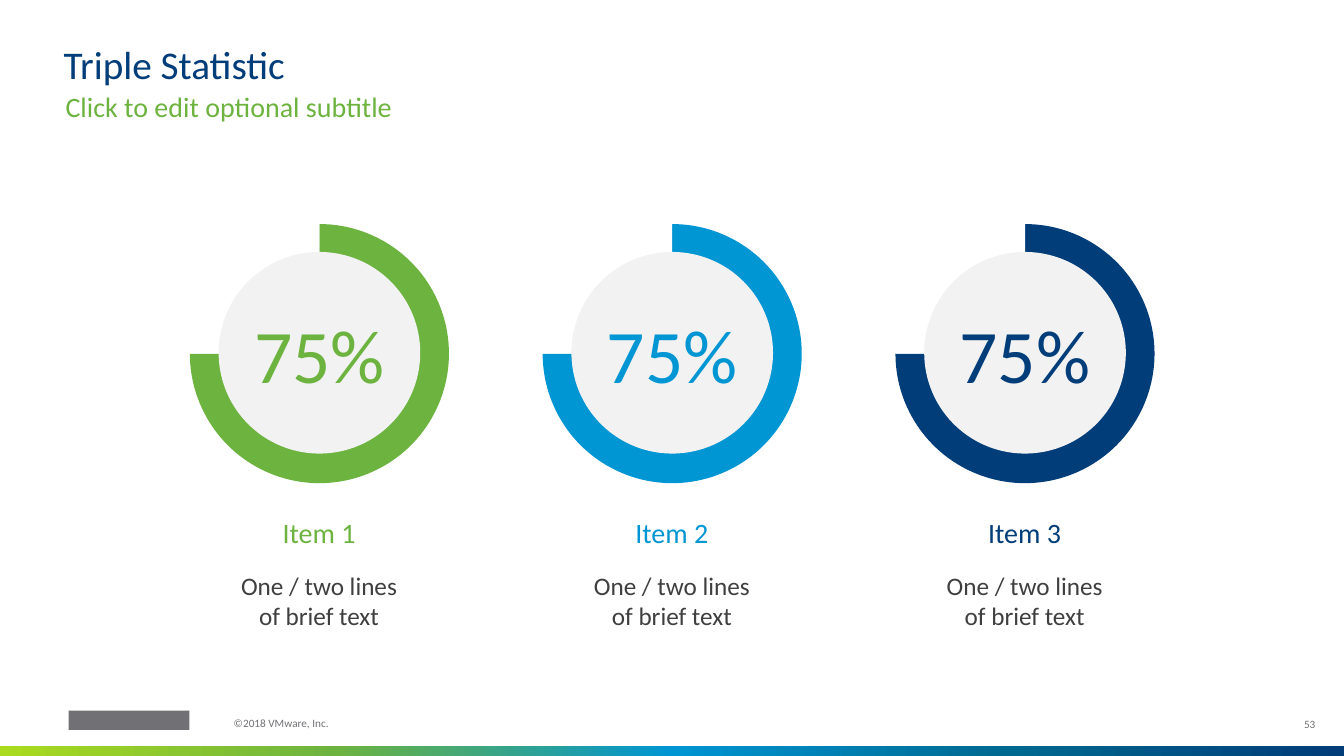
"""Build the Triple Statistic slide: three ring charts with captions."""
from copy import deepcopy

from lxml import etree
from pptx import Presentation
from pptx import util as u
from pptx.chart.data import CategoryChartData
from pptx.dml.color import RGBColor
from pptx.enum import chart as charts, shapes, text

COLORS = {
    "green": "6DB33F", "blue": "0095D3", "navy": "003D79", "lime": "AADB1E",
    "teal": "006990", "disc": "F2F2F2", "body": "3F3F3F", "gray": "717074",
    "white": "FFFFFF",
}
ALIGN = text.PP_ALIGN
ANCHOR = text.MSO_ANCHOR


def rgb(name):
    return RGBColor.from_string(COLORS[name])


def write(shape, lines, size, color, align=ALIGN.LEFT, anchor=ANCHOR.TOP,
          spacing=1.0, after=0, wrap=True):
    frame = shape.text_frame
    frame.word_wrap = wrap
    frame.vertical_anchor = anchor
    frame.margin_left = frame.margin_right = u.Pt(0)
    frame.margin_top = frame.margin_bottom = u.Pt(0)
    paragraph = frame.paragraphs[0]
    paragraph.alignment = align
    paragraph.line_spacing = spacing
    paragraph.space_after = u.Pt(after)
    for index, line in enumerate(lines):
        if index:
            paragraph.add_line_break()
        run = paragraph.add_run()
        run.text = line
        run.font.name = "Calibri"
        run.font.size = u.Pt(size)
        run.font.color.rgb = rgb(color)


presentation = Presentation()
presentation.slide_width = u.Pt(960)
presentation.slide_height = u.Pt(540)
slide = presentation.slides.add_slide(presentation.slide_layouts[6])

footer_bar = slide.shapes.add_shape(
    shapes.MSO_SHAPE.RECTANGLE, u.Pt(0), u.Pt(532.8), u.Pt(960), u.Pt(7.2))
footer_bar.shadow.inherit = False
footer_bar.line.fill.background()
footer_bar.fill.gradient()
footer_bar.fill.gradient_angle = 0
first_stop = footer_bar.fill.gradient_stops[0]._gs
for _ in range(3):
    first_stop.addnext(deepcopy(first_stop))
bar_colors = ["lime", "green", "blue", "teal", "navy"]
for index, stop in enumerate(footer_bar.fill.gradient_stops):
    stop.color.rgb = rgb(bar_colors[index])
    stop.position = index / 4

logo_block = slide.shapes.add_shape(
    shapes.MSO_SHAPE.RECTANGLE, u.Pt(49), u.Pt(507.6), u.Pt(86.4), u.Pt(13.7))
logo_block.shadow.inherit = False
logo_block.fill.solid()
logo_block.fill.fore_color.rgb = rgb("gray")
logo_block.line.fill.background()

labels = [
    (45.4, 32.4, 866, 30.2, "Triple Statistic", 28, "navy", ALIGN.LEFT, ANCHOR.BOTTOM, 0.9),
    (46.8, 64.1, 863, 19.4, "Click to edit optional subtitle", 20, "green", ALIGN.LEFT,
     ANCHOR.TOP, 1.0),
    (167, 512.6, 155, 11.5, "©2018 VMware, Inc.", 8, "gray", ALIGN.LEFT, ANCHOR.TOP, 0.9),
    (905, 503.3, 34.6, 28.8, "53", 8, "gray", ALIGN.RIGHT, ANCHOR.MIDDLE, 0.9),
]
for left, top, width, height, words, size, color, align, anchor, spacing in labels:
    label = slide.shapes.add_textbox(u.Pt(left), u.Pt(top), u.Pt(width), u.Pt(height))
    write(label, [words], size, color, align, anchor, spacing)

for index, color in enumerate(["green", "blue", "navy"]):
    left = 156.2 + 252 * index

    data = CategoryChartData()
    data.categories = ["1", "2"]
    data.add_series("Series 1", (75, 25))
    chart = slide.shapes.add_chart(
        charts.XL_CHART_TYPE.DOUGHNUT, u.Pt(left - 31), u.Pt(147.6),
        u.Pt(206), u.Pt(208), data).chart
    chart.has_legend = False
    chart.has_title = False
    chart.font.name = "Calibri"
    chart.font.size = u.Pt(10)
    chart.font.color.rgb = rgb("gray")
    plot = chart.plots[0]
    plot.vary_by_categories = True
    for point_index, point_color in enumerate([color, "white"]):
        point = plot.series[0].points[point_index]
        point.format.fill.solid()
        point.format.fill.fore_color.rgb = rgb(point_color)
        point.format.line.fill.background()
    chart_xml = chart.element
    chart_xml.find(".//{*}holeSize").set("val", "90")
    plot_area = chart_xml.find(".//{*}plotArea")
    for old_layout in plot_area.findall("{*}layout"):
        plot_area.remove(old_layout)
    namespace = "{" + etree.QName(plot_area).namespace + "}"
    layout = etree.Element(namespace + "layout")
    manual = etree.SubElement(layout, namespace + "manualLayout")
    for tag, value in [("layoutTarget", "inner"), ("xMode", "edge"), ("yMode", "edge"),
                       ("x", "0.05"), ("y", "0.06"), ("w", "0.9"), ("h", "0.89")]:
        etree.SubElement(manual, namespace + tag).set("val", value)
    plot_area.insert(0, layout)

    disc = slide.shapes.add_shape(
        shapes.MSO_SHAPE.OVAL, u.Pt(left), u.Pt(180), u.Pt(144), u.Pt(144))
    disc.shadow.inherit = False
    disc.fill.solid()
    disc.fill.fore_color.rgb = rgb("disc")
    disc.line.fill.background()
    write(disc, ["75%"], 54, color, ALIGN.CENTER, ANCHOR.MIDDLE, after=6, wrap=False)

    heading = slide.shapes.add_textbox(u.Pt(left), u.Pt(368), u.Pt(143.5), u.Pt(33))
    write(heading, [f"Item {index + 1}"], 20, color, ALIGN.CENTER, after=6)
    caption = slide.shapes.add_textbox(u.Pt(left), u.Pt(407.5), u.Pt(143.5), u.Pt(52.6))
    write(caption, ["One / two lines", "of brief text"], 18, "body", ALIGN.CENTER, after=6)

presentation.save("out.pptx")
